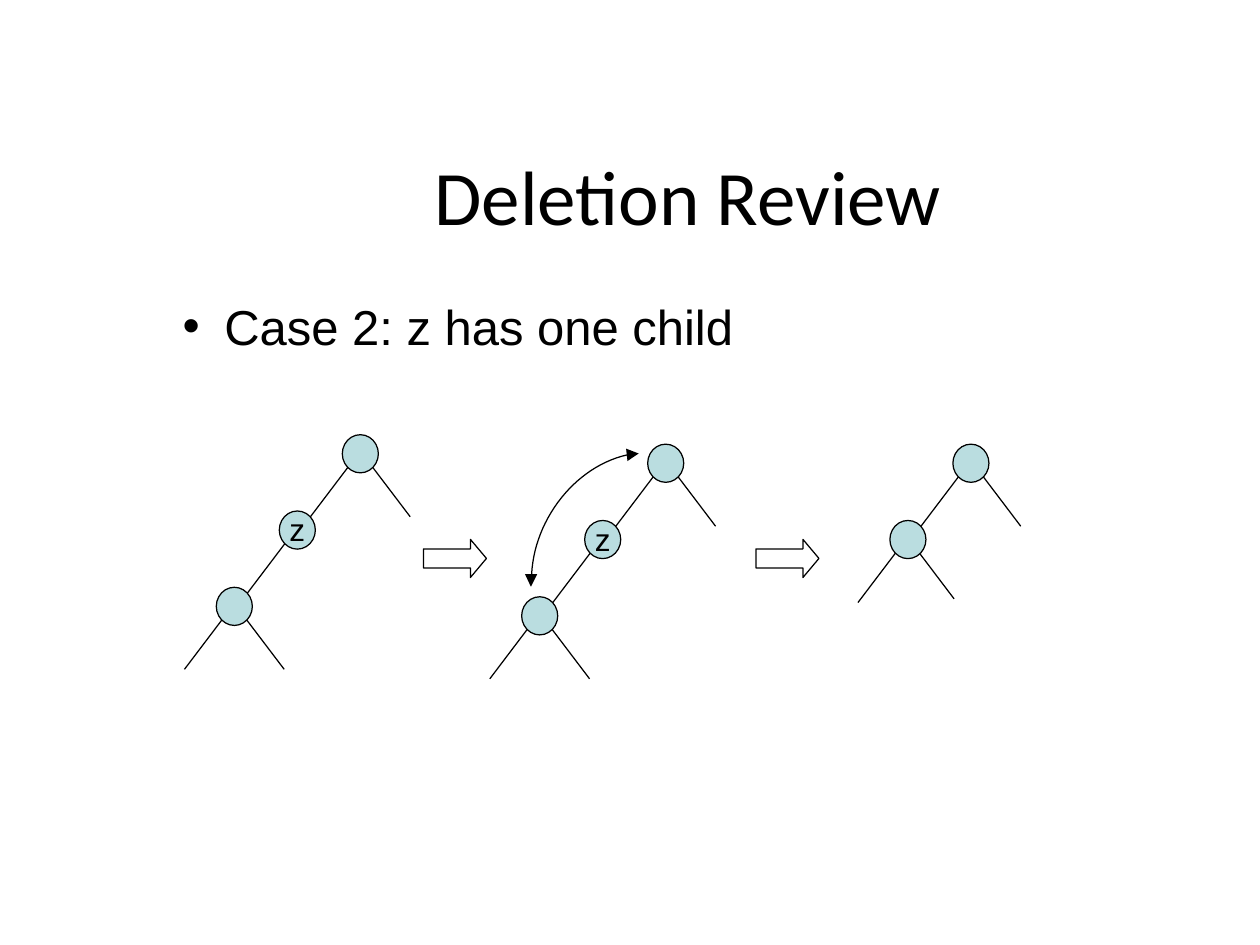
from dataclasses import dataclass

from lxml import etree
from pptx import Presentation
from pptx.dml.color import RGBColor
from pptx.enum.shapes import MSO_CONNECTOR, MSO_SHAPE
from pptx.enum.text import MSO_ANCHOR, MSO_AUTO_SIZE, PP_ALIGN
from pptx.oxml.ns import qn
from pptx.util import Pt

STRAIGHT = MSO_CONNECTOR.STRAIGHT
OVAL, RIGHT_ARROW = MSO_SHAPE.OVAL, MSO_SHAPE.RIGHT_ARROW
TOP, MIDDLE = MSO_ANCHOR.TOP, MSO_ANCHOR.MIDDLE
LEFT, CENTER = PP_ALIGN.LEFT, PP_ALIGN.CENTER
NO_AUTOFIT = MSO_AUTO_SIZE.NONE

Point = tuple[float, float]


@dataclass(frozen=True)
class Theme:
    ink: RGBColor = RGBColor(0x00, 0x00, 0x00)
    node: RGBColor = RGBColor(0xBA, 0xDD, 0xE0)
    title_font: str = "Calibri"
    body_font: str = "Arial"
    title_size: float = 44
    body_size: float = 28
    node_size: float = 18
    line_width: float = 0.71


@dataclass(frozen=True)
class Tree:
    root: Point
    labels: tuple[str, ...]
    last_edge_shift: float = 0


THEME = Theme()
NODE_WIDTH, NODE_HEIGHT = 20.6, 21.8
STEP_X, STEP_Y = 36, 43.6
EDGE_START_X, EDGE_START_Y = 7.2, 7.9
EDGE_WIDTH, EDGE_HEIGHT = 21.3, 28.1
CURVE_STEPS = 28

TREES = (
    Tree((205.9, 259.3), ("", "z", "")),
    Tree((380.4, 264.7), ("", "z", "")),
    Tree((554.8, 264.7), ("", ""), last_edge_shift=-2.1),
)
STEP_ARROWS = ((242, 308.2), (432, 308.2))
SWAP_CURVE = ((303.8, 328.3), (305.3, 296.6), (329, 266.4), (358.6, 259.9))
SWAP_HEADS = (
    ((300, 328.1), (303.4, 335.3), (307, 328.1)),
    ((357.8, 256.4), (358.6, 263.5), (365, 259.2)),
)


def write(shape, text: str, font: str, size: float, align, anchor, **margins: float) -> None:
    frame = shape.text_frame
    frame_format = {"word_wrap": True, "auto_size": NO_AUTOFIT, "vertical_anchor": anchor}
    for side in ("left", "top", "right", "bottom"):
        frame_format[f"margin_{side}"] = Pt(margins.get(side, 0))
    for name, value in frame_format.items():
        setattr(frame, name, value)
    para = frame.paragraphs[0]
    para.alignment = align
    para.space_before = Pt(0)
    span = para.add_run()
    span.text = text
    for name, value in {"name": font, "size": Pt(size), "bold": False}.items():
        setattr(span.font, name, value)
    span.font.color.rgb = THEME.ink


def place(shape, left: float, top: float, width: float, height: float) -> None:
    box = {"left": left, "top": top, "width": width, "height": height}
    for name, value in box.items():
        setattr(shape, name, Pt(value))


def outline(shape) -> None:
    shape.line.color.rgb = THEME.ink
    shape.line.width = Pt(THEME.line_width)


def draw_edge(slide, center: Point, side: int, shift: float = 0) -> None:
    left = center[0] + side * EDGE_START_X + shift
    top = center[1] + EDGE_START_Y + shift
    edge = slide.shapes.add_connector(
        STRAIGHT, Pt(left), Pt(top), Pt(left + side * EDGE_WIDTH), Pt(top + EDGE_HEIGHT)
    )
    outline(edge)
    etree.SubElement(edge._element.spPr, qn("a:effectLst"))


def draw_node(slide, center: Point, label: str) -> None:
    node = slide.shapes.add_shape(
        OVAL,
        Pt(center[0] - NODE_WIDTH / 2),
        Pt(center[1] - NODE_HEIGHT / 2),
        Pt(NODE_WIDTH),
        Pt(NODE_HEIGHT),
    )
    node.shadow.inherit = False
    node.fill.solid()
    node.fill.fore_color.rgb = THEME.node
    outline(node)
    if label:
        write(node, label, THEME.body_font, THEME.node_size, CENTER, MIDDLE, bottom=1)


def draw_tree(slide, tree: Tree) -> None:
    centers = [
        (tree.root[0] - level * STEP_X, tree.root[1] + level * STEP_Y)
        for level in range(len(tree.labels))
    ]
    for center in centers:
        draw_edge(slide, center, -1)
    draw_edge(slide, centers[0], 1)
    draw_edge(slide, centers[-1], 1, tree.last_edge_shift)
    for center, label in zip(centers, tree.labels):
        draw_node(slide, center, label)


def draw_step_arrow(slide, left: float, top: float) -> None:
    arrow = slide.shapes.add_shape(RIGHT_ARROW, Pt(left), Pt(top), Pt(36), Pt(NODE_HEIGHT))
    arrow.adjustments[0] = 0.5
    arrow.adjustments[1] = 0.42
    arrow.shadow.inherit = False
    arrow.fill.background()
    outline(arrow)


def draw_freeform(slide, points: list[Point], close: bool):
    corners = [(Pt(x), Pt(y)) for x, y in points]
    builder = slide.shapes.build_freeform(*corners[0])
    builder.add_line_segments(corners[1:], close=close)
    shape = builder.convert_to_shape()
    shape.shadow.inherit = False
    return shape


def curve_point(t: float) -> Point:
    weights = ((1 - t) ** 3, 3 * t * (1 - t) ** 2, 3 * t**2 * (1 - t), t**3)
    x, y = (sum(w * p[axis] for w, p in zip(weights, SWAP_CURVE)) for axis in (0, 1))
    return x, y


def draw_swap_arrow(slide) -> None:
    points = [curve_point(step / CURVE_STEPS) for step in range(CURVE_STEPS + 1)]
    curve = draw_freeform(slide, points, close=False)
    curve.fill.background()
    outline(curve)
    for corners in SWAP_HEADS:
        head = draw_freeform(slide, list(corners), close=True)
        head.fill.solid()
        head.fill.fore_color.rgb = THEME.ink
        head.line.fill.background()


def main() -> None:
    deck = Presentation()
    deck.slide_width, deck.slide_height = Pt(720), Pt(540)
    slide = deck.slides.add_slide(deck.slide_layouts[1])

    title, body = slide.shapes.title, slide.placeholders[1]
    place(title, 223.2, 83.5, 339.8, 54)
    write(title, "Deletion Review", THEME.title_font, THEME.title_size, CENTER, MIDDLE, top=1)
    place(body, 103.7, 168.5, 369.4, 34.6)
    write(body, "Case 2: z has one child", THEME.body_font, THEME.body_size, LEFT, TOP, top=1)
    properties = body.text_frame.paragraphs[0]._p.get_or_add_pPr()
    for name, value in {"marL": Pt(24.5), "indent": Pt(-23.8)}.items():
        properties.set(name, str(int(value)))

    for tree in TREES:
        draw_tree(slide, tree)
    draw_swap_arrow(slide)
    for left, top in STEP_ARROWS:
        draw_step_arrow(slide, left, top)

    deck.save("out.pptx")


if __name__ == "__main__":
    main()
